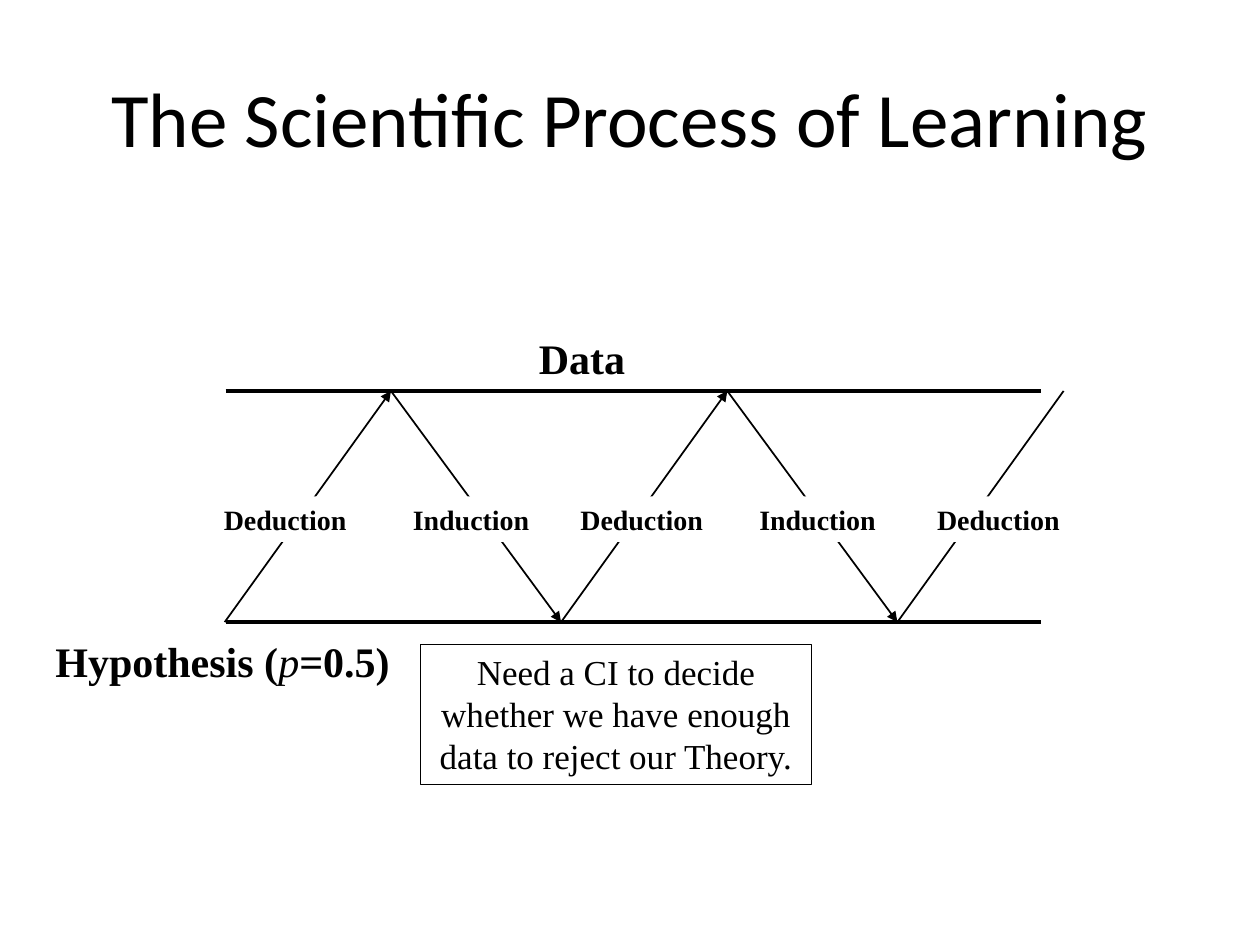
from itertools import accumulate, pairwise

from lxml.etree import SubElement
from pptx import Presentation
from pptx.dml.color import RGBColor
from pptx.enum.shapes import MSO_CONNECTOR, MSO_SHAPE
from pptx.enum.text import MSO_ANCHOR, MSO_AUTO_SIZE, PP_ALIGN
from pptx.oxml.ns import qn
from pptx.util import Pt

COLORS = {"ink": "000000", "paper": "FFFFFF"}
SERIF = "Times New Roman"


def rgb(name):
    return RGBColor.from_string(COLORS[name])


class Deck:
    def __init__(self, prs):
        self.prs = prs
        self.s = None

    def slide(self, title):
        self.s = self.prs.slides.add_slide(self.prs.slide_layouts[5])
        sp = self.s.shapes.title
        sp.left, sp.top, sp.width, sp.height = Pt(36), Pt(21.6), Pt(648), Pt(90)
        tf = sp.text_frame
        tf.text = title
        tf.vertical_anchor = MSO_ANCHOR.MIDDLE
        p = tf.paragraphs[0]
        p.alignment = PP_ALIGN.CENTER
        self.font(p.runs[0], 44, name="Calibri")

    def font(self, r, size, bold=False, italic=False, name=SERIF):
        r.font.name = name
        r.font.size = Pt(size)
        r.font.bold = bold
        r.font.italic = italic
        r.font.color.rgb = rgb("ink")

    def line(self, x1, y1, x2, y2, width, arrow=False):
        c = self.s.shapes.add_connector(
            MSO_CONNECTOR.STRAIGHT, Pt(x1), Pt(y1), Pt(x2), Pt(y2))
        c.line.color.rgb = rgb("ink")
        c.line.width = Pt(width)
        if arrow:
            SubElement(c.line._get_or_add_ln(), qn("a:tailEnd"), type="triangle")
        SubElement(c._element.spPr, qn("a:effectLst"))

    def fill_text(self, sp, runs, size, wrap=False, align=PP_ALIGN.LEFT):
        tf = sp.text_frame
        tf.word_wrap = wrap
        tf.auto_size = MSO_AUTO_SIZE.SHAPE_TO_FIT_TEXT
        tf.vertical_anchor = MSO_ANCHOR.TOP
        p = tf.paragraphs[0]
        p.alignment = align
        for text, bold, italic in runs:
            r = p.add_run()
            r.text = text
            self.font(r, size, bold, italic)

    def text(self, x, y, w, h, runs, size):
        sp = self.s.shapes.add_textbox(Pt(x), Pt(y), Pt(w), Pt(h))
        self.fill_text(sp, runs, size)

    def box(self, x, y, w, h, runs, size, fill=None, border=None, **layout):
        sp = self.s.shapes.add_shape(
            MSO_SHAPE.RECTANGLE, Pt(x), Pt(y), Pt(w), Pt(h))
        sp.shadow.inherit = False
        if fill:
            sp.fill.solid()
            sp.fill.fore_color.rgb = rgb(fill)
        else:
            sp.fill.background()
        if border:
            sp.line.color.rgb = rgb("ink")
            sp.line.width = Pt(border)
        else:
            sp.line.fill.background()
        self.fill_text(sp, runs, size, **layout)


def main():
    prs = Presentation()
    prs.slide_width, prs.slide_height = Pt(720), Pt(540)
    deck = Deck(prs)
    deck.slide("The Scientific Process of Learning")

    data_y, hypothesis_y = 223.4, 355.5
    for y in (data_y, hypothesis_y):
        deck.line(128.9, y, 594.7, y, 2)

    rise, fall = 95, 97.2
    turns = list(accumulate([128.4, rise, fall, rise, fall, rise]))
    steps = list(pairwise(turns))
    for i, (x1, x2) in enumerate(steps):
        y1, y2 = (data_y, hypothesis_y) if i % 2 else (hypothesis_y, data_y)
        deck.line(x1, y1, x2, y2, 1, arrow=i < len(steps) - 1)

    for label, x, gap, w, count in (("Induction", 228.8, 198, 82, 2),
                                    ("Deduction", 120.8, 203.8, 86, 3)):
        for i in range(count):
            deck.box(x + i * gap, 283.6, w, 26, [(label, True, False)], 16,
                     fill="paper")

    deck.text(300.8, 186.3, 65, 36, [("Data", True, False)], 24)
    deck.text(24.6, 359.6, 210, 36,
              [("Hypothesis (", True, False), ("p", False, True),
               ("=0.5)", True, False)], 24)
    deck.box(240.4, 368.3, 223.2, 80,
             [("Need a CI to decide whether we have enough data to reject "
               "our Theory.", False, False)], 20,
             border=0.75, wrap=True, align=PP_ALIGN.CENTER)

    prs.save("out.pptx")


if __name__ == "__main__":
    main()
